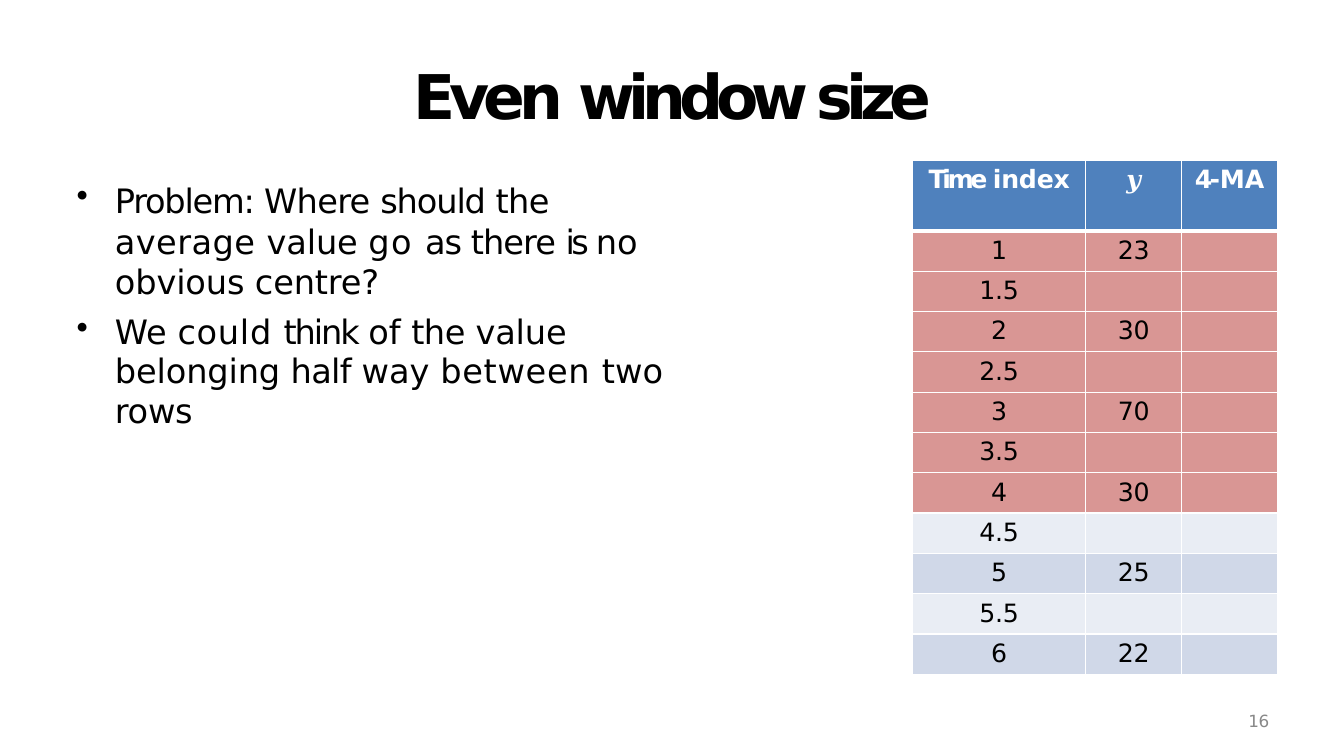
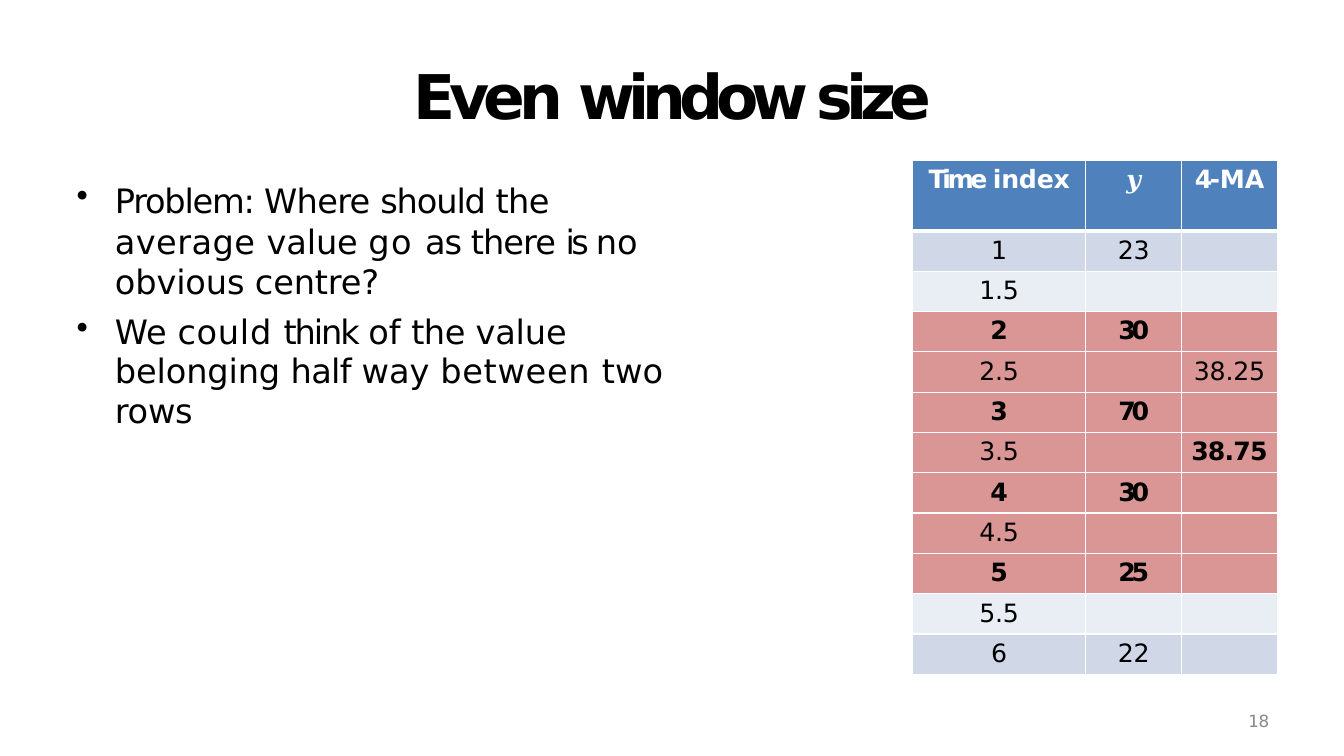
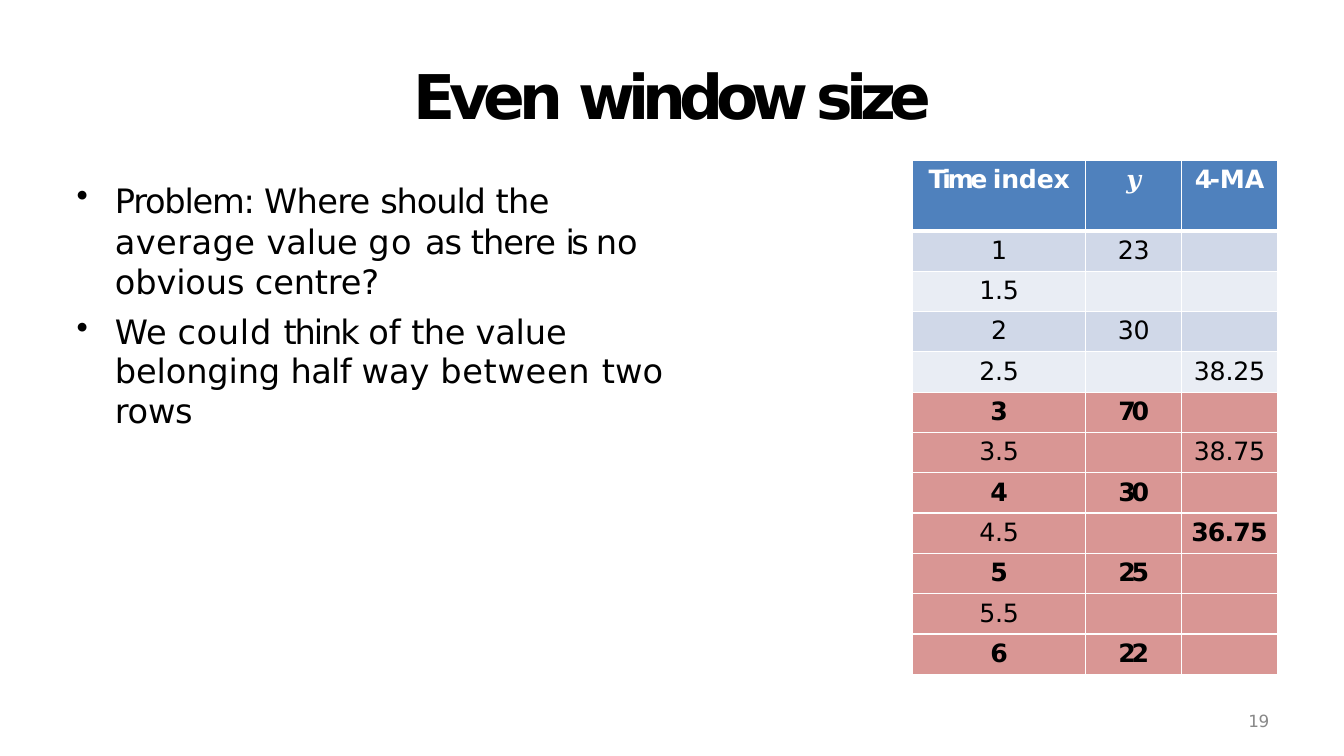
import pptx
import pptx.util
import pptx.dml.color
import pptx.enum.text
import pptx.oxml.ns
import lxml.etree

COLORS = {"ink": "000000", "muted": "898989", "white": "FFFFFF", "header": "4F81BD",
          "window": "D99694", "whole": "D0D8E8", "half": "E9EDF4"}
FONT, MATH_FONT = "DejaVu Sans", "Cambria"
SLIDE_SIZE = (13.33, 7.5)

TITLE = [("Even ", -4.4), ("window size", -5)]
BULLETS = [
    [("Problem: ", -0.9), ("Where ", -0.5), ("should ", -0.8), ("the ", -0.4),
     ("average ", 0.3), ("value ", -0.1), ("go ", 1), ("as there ", -0.7),
     ("is ", -2.6), ("no ", 0), ("obvious centre?", -0.1)],
    [("We ", 0), ("could ", 0.5), ("think ", -1.5), ("of ", 0), ("the ", -0.4),
     ("value belonging ", -0.1), ("half ", -0.5), ("way ", 0), ("between ", 0.5),
     ("two ", 0), ("rows", -0.2)],
]
HEADERS = [[("Time ", -2.4), ("index", -0.2)], [("𝒚", -0.5)], [("4-", -2), ("MA", -0.2)]]
SERIES = {1: 23, 2: 30, 3: 70, 4: 30, 5: 25, 6: 22}
TIMES = [step / 2 for step in range(2, 13)]
SLIDES = [
    {"number": 16, "window": (1, 4), "averages": {}, "bold": False},
    {"number": 18, "window": (2, 5), "averages": {2.5: 38.25, 3.5: 38.75}, "bold": True},
    {"number": 19, "window": (3, 6), "averages": {2.5: 38.25, 3.5: 38.75, 4.5: 36.75},
     "bold": True},
]

TITLE_BOX = (0.77, 0.56, 11.79, 0.69)
BODY_BOX = (0.75, 1.77, 6.58, 3.4)
NUMBER_BOX = (12.34, 7.04, 0.28, 0.23)
TABLE_ORIGIN = (9.05, 1.59)
COLUMN_WIDTHS = (1.72, 0.95, 0.95)
ROW_HEIGHTS = [0.7] + [0.4] * len(TIMES)
REGULAR_SPACING = (-0.5, -0.2, -0.1)
BOLD_SPACING = (-3.2, -3, -0.6)

inches = pptx.util.Inches
points = pptx.util.Pt


def rgb(name):
    return pptx.dml.color.RGBColor.from_string(COLORS[name])


def add_element(parent, tag, **attributes):
    element = lxml.etree.SubElement(parent, pptx.oxml.ns.qn(tag))
    for key, value in attributes.items():
        element.set(key, str(value))
    return element


def write(paragraph, runs, size, color, bold=False, font=FONT):
    paragraph.font.name = font
    paragraph.font.size = points(size)
    paragraph.font.bold = bold
    paragraph.font.color.rgb = rgb(color)
    for text, spacing in runs:
        run = paragraph.add_run()
        run.text = text
        run.font._element.set("spc", str(round(spacing * 100)))


def prepare_frame(shape, right=0):
    frame = shape.text_frame
    frame.word_wrap = True
    frame.auto_size = pptx.enum.text.MSO_AUTO_SIZE.NONE
    frame.vertical_anchor = pptx.enum.text.MSO_ANCHOR.TOP
    frame.margin_left = frame.margin_bottom = 0
    frame.margin_top, frame.margin_right = inches(0.01), inches(right)
    return frame


def add_box(slide, box, right=0):
    return prepare_frame(slide.shapes.add_textbox(*map(inches, box)), right)


def indent(paragraph, left, first=0):
    properties = paragraph._p.get_or_add_pPr()
    properties.set("marL", str(inches(left)))
    properties.set("indent", str(inches(first)))
    return properties


def add_title(slide):
    title = slide.shapes.title
    title.left, title.top, title.width, title.height = map(inches, TITLE_BOX)
    paragraph = prepare_frame(title).paragraphs[0]
    paragraph.alignment = pptx.enum.text.PP_ALIGN.LEFT
    indent(paragraph, 3.33)
    write(paragraph, TITLE, 44, "ink", bold=True)


def add_bullets(slide):
    frame = add_box(slide, BODY_BOX, right=0.6)
    for index, runs in enumerate(BULLETS):
        paragraph = frame.add_paragraph() if index else frame.paragraphs[0]
        properties = indent(paragraph, 0.39, -0.38)
        add_element(properties, "a:buChar", char="•")
        tabs = add_element(properties, "a:tabLst")
        add_element(tabs, "a:tab", pos=inches(0.39), algn="l")
        paragraph.line_spacing = points(28.1) if index else 1.01
        if index:
            paragraph.space_before = points(7.5)
        write(paragraph, runs, 24, "ink")


def add_number(slide, number):
    paragraph = add_box(slide, NUMBER_BOX).paragraphs[0]
    indent(paragraph, 0.04)
    write(paragraph, [(str(number), -0.2)], 12, "muted")


def format_cell(cell, row, fill):
    cell.margin_left = cell.margin_right = cell.margin_bottom = 0
    cell.margin_top = inches(0.05)
    widths = {"L": 1, "R": 1, "T": 3 if row == 1 else 1, "B": 3 if row == 0 else 1}
    properties = cell._tc.get_or_add_tcPr()
    for side, width in widths.items():
        line = add_element(properties, "a:ln" + side, w=points(width))
        add_element(add_element(line, "a:solidFill"), "a:srgbClr", val=COLORS["white"])
    cell.fill.solid()
    cell.fill.fore_color.rgb = rgb(fill)
    paragraph = cell.text_frame.paragraphs[0]
    paragraph.alignment = pptx.enum.text.PP_ALIGN.CENTER
    return paragraph


def add_series_table(slide, content):
    frame = slide.shapes.add_table(
        len(ROW_HEIGHTS), len(COLUMN_WIDTHS), *map(inches, TABLE_ORIGIN),
        inches(sum(COLUMN_WIDTHS)), inches(sum(ROW_HEIGHTS)))
    table = frame.table
    for column, width in zip(table.columns, COLUMN_WIDTHS):
        column.width = inches(width)
    for row, height in zip(table.rows, ROW_HEIGHTS):
        row.height = inches(height)

    for column, runs in enumerate(HEADERS):
        paragraph = format_cell(table.cell(0, column), 0, "header")
        is_symbol = column == 1
        write(paragraph, runs, 18, "white", not is_symbol, MATH_FONT if is_symbol else FONT)

    first, last = content["window"]
    averages = content["averages"]
    newest = max(averages, default=None)
    for row, time in enumerate(TIMES, start=1):
        whole = time in SERIES
        in_window = first <= time <= last
        fill = "window" if in_window else "whole" if whole else "half"
        bold_pair = content["bold"] and in_window and whole
        values = (f"{time:g}", SERIES.get(time, ""), averages.get(time, ""))
        for column, value in enumerate(values):
            bold = time == newest if column == 2 else bold_pair
            spacing = (BOLD_SPACING if bold else REGULAR_SPACING)[column]
            if column == 0 and not whole:
                spacing = -0.2
            paragraph = format_cell(table.cell(row, column), row, fill)
            write(paragraph, [(str(value), spacing)] if value else [], 18, "ink", bold)


def main():
    presentation = pptx.Presentation()
    presentation.slide_width, presentation.slide_height = map(inches, SLIDE_SIZE)
    for content in SLIDES:
        slide = presentation.slides.add_slide(presentation.slide_layouts[5])
        add_number(slide, content["number"])
        add_title(slide)
        add_bullets(slide)
        add_series_table(slide, content)
    presentation.save("out.pptx")


if __name__ == "__main__":
    main()
